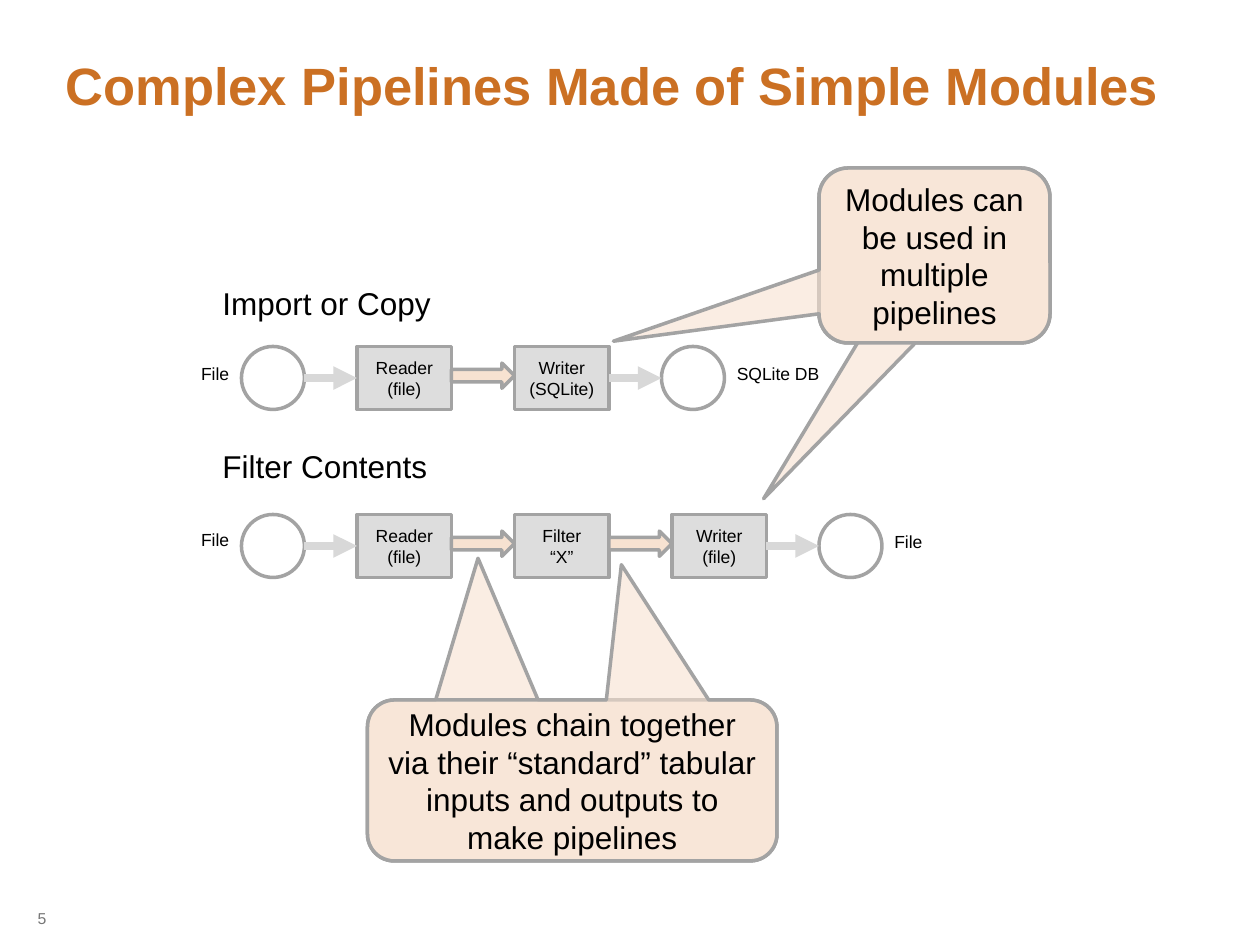
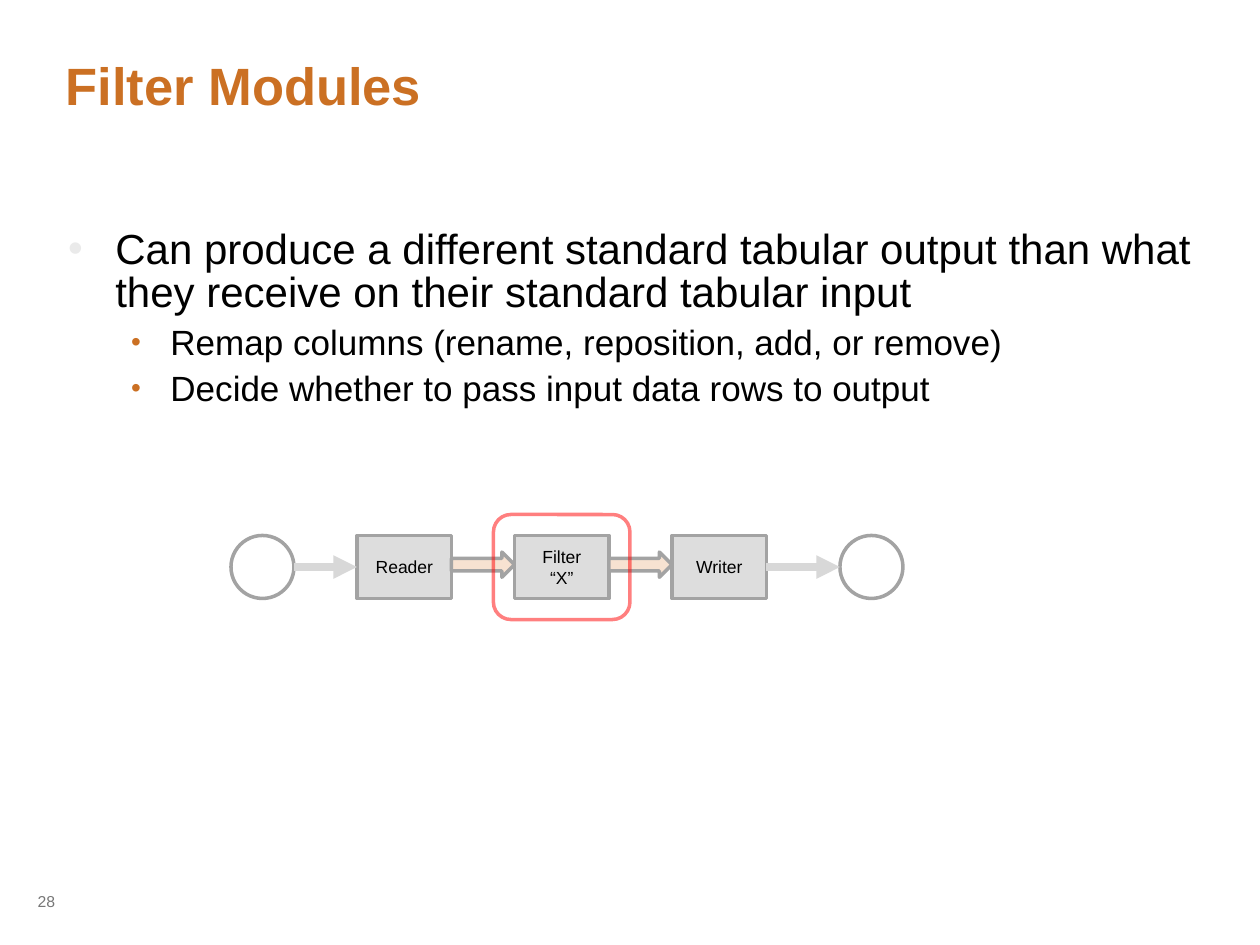
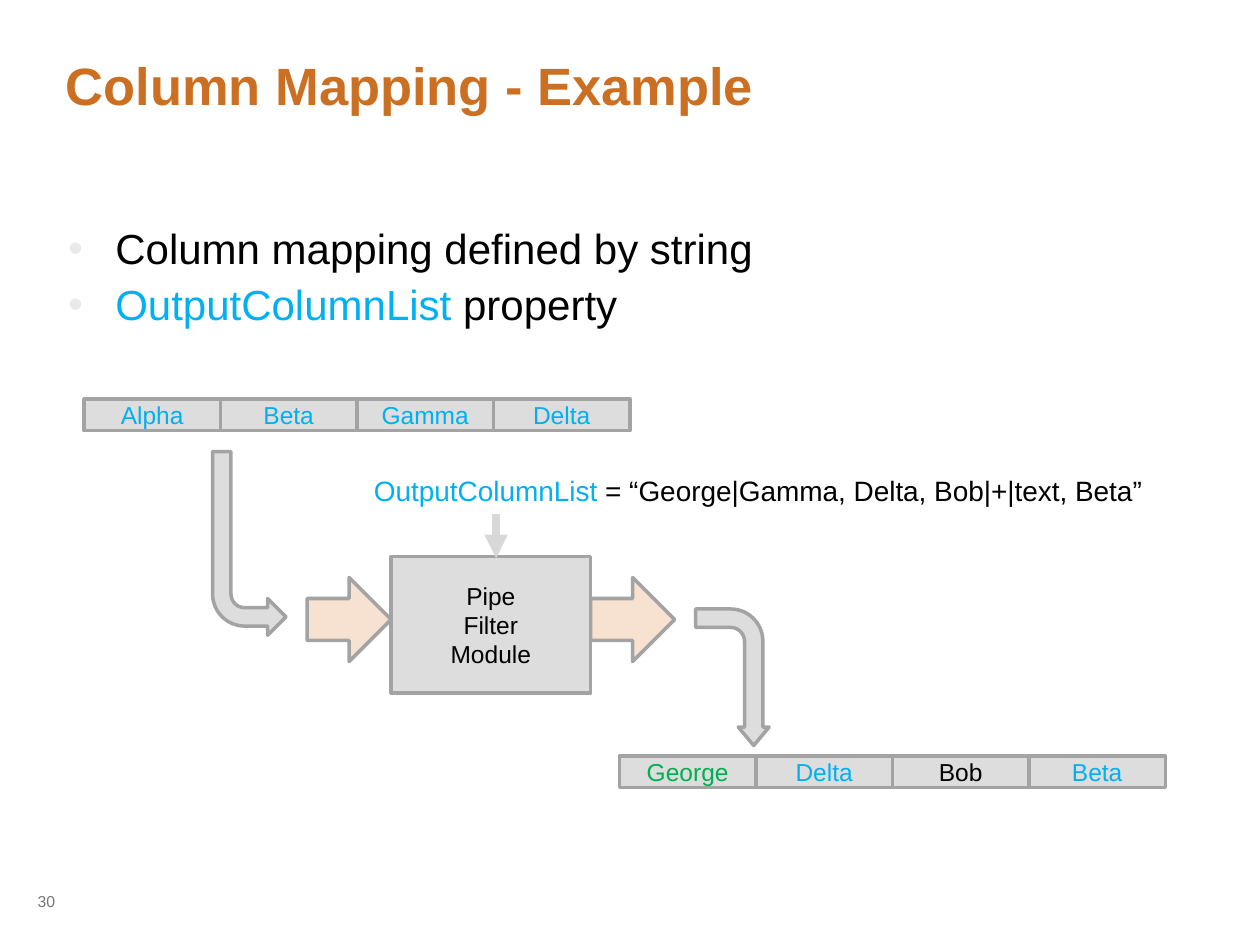
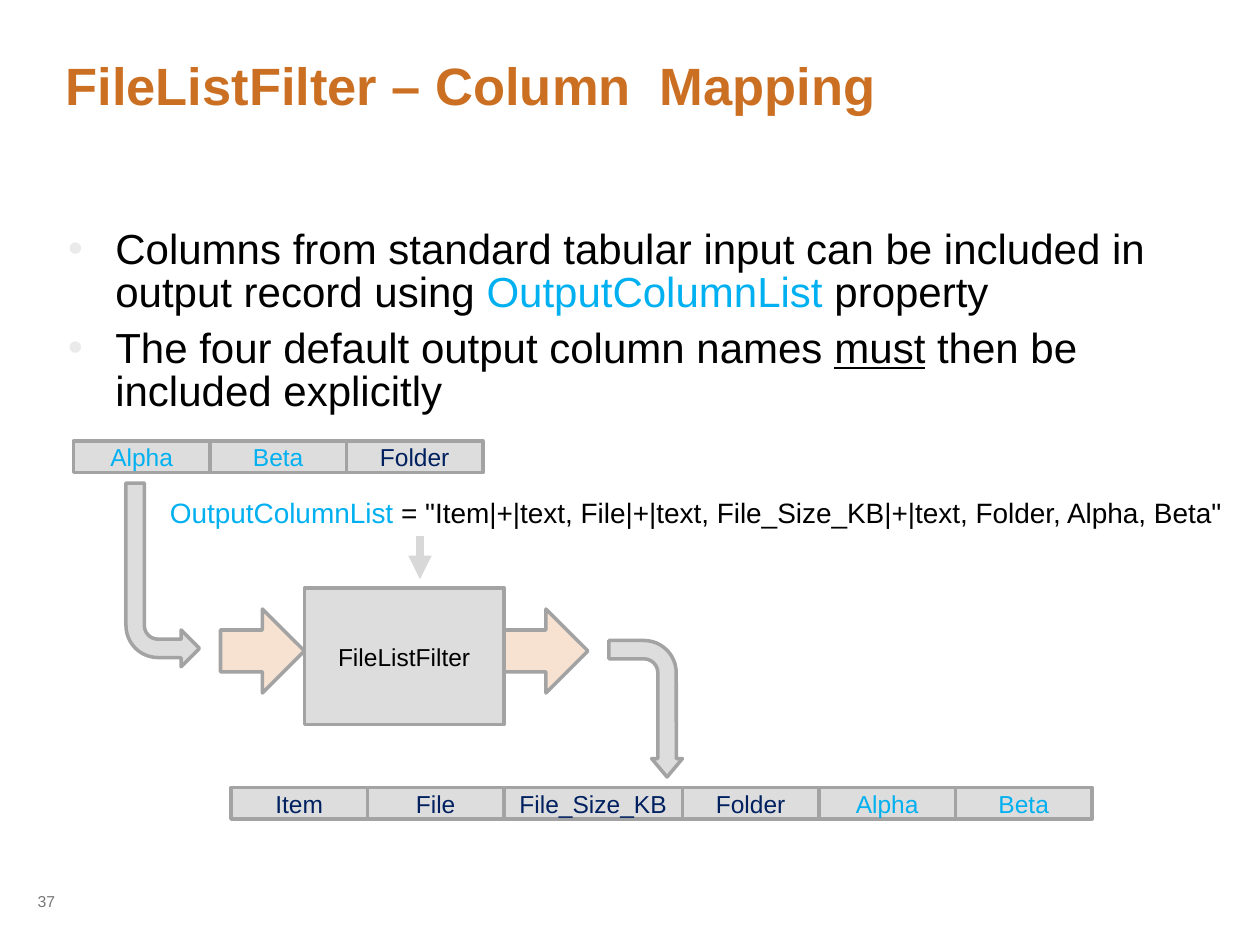
import lxml.etree
import pptx
import pptx.dml.color
import pptx.enum.shapes
import pptx.enum.text
import pptx.oxml.ns
import pptx.util

Pt = pptx.util.Pt
KIND = pptx.enum.shapes.MSO_SHAPE
ALIGN = pptx.enum.text.PP_ALIGN
ANCHOR = pptx.enum.text.MSO_ANCHOR
FONT = "Arial"
HUES = {
    "title": "CB7023", "text": "000000", "page": "777777", "white": "FFFFFF",
    "edge": "A3A3A3", "box": "DDDDDD", "peach": "F7E2D1", "link": "D8D8D8",
    "dot": "EAEAEA", "red": "FF0000", "blue": "00B0F0", "green": "00B050",
    "navy": "002060",
}
LEVELS = [
    {"size": 24, "left": 27, "hang": 27, "dot": "dot", "scale": 100},
    {"size": 20, "left": 58.5, "hang": 22.5, "dot": "title", "scale": 80},
]
WIDE = (38.9, 131.8, 644.4, 281.5)
SHORT = (38.9, 131.8, 525.6, 77.8)

SLIDES = [
    {
        "title": "Complex Pipelines Made of Simple Modules",
        "page": ("5", 516),
        "flows": [
            {"top": 198, "start": 138, "end": 378,
             "steps": [["Reader", "(file)"], ["Writer", "(SQLite)"]]},
            {"top": 294, "start": 138, "end": 468,
             "steps": [["Reader", "(file)"], ["Filter", "“X”"], ["Writer", "(file)"]]},
        ],
        "labels": [
            ("Import or Copy", (120, 159, 198, 28.8), 18, ALIGN.LEFT),
            ("Filter Contents", (120, 252, 198, 28.8), 18, ALIGN.LEFT),
            ("File", (96, 204, 42, 19.4), 10, ALIGN.RIGHT),
            ("SQLite DB", (414, 204, 66, 19.4), 10, ALIGN.LEFT),
            ("File", (96, 299, 42, 19.4), 10, ALIGN.RIGHT),
            ("File", (504, 300, 66, 19.4), 10, ALIGN.LEFT),
        ],
        "calls": [
            ("Modules chain together via their “standard” tabular inputs and outputs to make pipelines",
             (210, 400, 234, 92), [(-0.23, -1.38), (0.12, -1.34)]),
            ("Modules can be used in multiple pipelines",
             (468, 96, 132, 100), [(-0.74, 1.39), (-1.39, 0.49)]),
        ],
    },
    {
        "title": "Filter Modules",
        "page": ("28", 506),
        "area": WIDE,
        "list": [
            (0, ["Can produce a different standard tabular output than what they receive on their standard tabular input"]),
            (1, ["Remap columns (rename, reposition, add, or remove)"]),
            (1, ["Decide whether to pass input data rows to output"]),
        ],
        "flows": [{"top": 306, "start": 132, "end": 480,
                   "steps": [["Reader"], ["Filter", "“X”"], ["Writer"]]}],
        "frame": (282, 294, 78, 60),
    },
    {
        "title": "Column Mapping - Example",
        "page": ("30", 506),
        "area": SHORT,
        "list": [
            (0, ["Column mapping defined by string"]),
            (0, [("OutputColumnList ", "blue"), "property"]),
        ],
        "map": {
            "spot": (223.5, 318), "name": ["Pipe", "Filter", "Module"],
            "rule": [("OutputColumnList", "blue"), " = “George|Gamma, Delta, Bob|+|text, Beta”"],
            "rule_at": (206.6, 267, 459.4, 26.6),
            "feed": (283.5, 294, 319),
            "rows": [
                (48, 228, [("Alpha", "blue"), ("Beta", "blue"), ("Gamma", "blue"), ("Delta", "blue")]),
                (354, 432, [("George", "green"), ("Delta", "blue"), ("Bob", "text"), ("Beta", "blue")]),
            ],
        },
    },
    {
        "title": "FileListFilter – Column  Mapping",
        "page": ("37", 506),
        "area": WIDE,
        "list": [
            (0, ["Columns from standard tabular input can be included in output record using ",
                 ("OutputColumnList", "blue"), " property"]),
            (0, ["The four default output column names ", ("must", "text", True),
                 " then be included explicitly"]),
        ],
        "map": {
            "spot": (174, 336), "name": ["FileListFilter"],
            "rule": [("OutputColumnList ", "blue"),
                     "= \"Item|+|text, File|+|text, File_Size_KB|+|text, Folder, Alpha, Beta\""],
            "rule_at": (90, 279.4, 622.8, 26.6),
            "feed": (240, 306, 331),
            "rows": [
                (42, 252, [("Alpha", "blue"), ("Beta", "blue"), ("Folder", "navy")]),
                (132, 450, [("Item", "navy"), ("File", "navy"), ("File_Size_KB", "navy"),
                            ("Folder", "navy"), ("Alpha", "blue"), ("Beta", "blue")]),
            ],
        },
    },
]

CELL, LONG, CELL_H = 78, 102, 18
STEP_X, STEP_W, STEP_H, GAP = 204, 54, 36, 36


def rgb(hue):
    return pptx.dml.color.RGBColor.from_string(HUES[hue])


def node(host, tag, **attrs):
    return lxml.etree.SubElement(host, pptx.oxml.ns.qn(tag), attrs)


def fade(host, share):
    for tint in host.iter(pptx.oxml.ns.qn("a:srgbClr")):
        node(tint, "a:alpha", val=str(share * 1000))


def add_runs(para, runs, size, hue="text", bold=False):
    for item in runs:
        words, tint, under = ((item, hue) if isinstance(item, str) else item) + (() if len(item) == 3 and not isinstance(item, str) else (False,))
        run = para.add_run()
        run.text = words
        font = run.font
        font.name, font.size, font.bold = FONT, Pt(size), bold
        font.color.rgb = rgb(tint)
        if under:
            font.underline = True


def write(frame, paras, size, align=ALIGN.LEFT, hue="text", wrap=True):
    frame.word_wrap = wrap
    for i, runs in enumerate(paras):
        para = frame.add_paragraph() if i else frame.paragraphs[0]
        para.alignment = align
        add_runs(para, runs, size, hue)


def add_text(slide, area, runs, size, align=ALIGN.LEFT, hue="text", wrap=True):
    box = slide.shapes.add_textbox(*map(Pt, area))
    write(box.text_frame, [runs], size, align, hue, wrap)


def add_shape(slide, kind, area, fill=None, edge="edge", paras=(), size=10):
    shape = slide.shapes.add_shape(kind, *map(Pt, area))
    shape.shadow.inherit = False
    if fill:
        shape.fill.solid()
        shape.fill.fore_color.rgb = rgb(fill)
    else:
        shape.fill.background()
    shape.line.color.rgb = rgb(edge)
    shape.line.width = Pt(2)
    frame = shape.text_frame
    frame.vertical_anchor = ANCHOR.MIDDLE
    write(frame, paras, size, ALIGN.CENTER)
    return shape


def add_link(slide, x1, y1, x2, y2):
    line = slide.shapes.add_connector(
        pptx.enum.shapes.MSO_CONNECTOR.STRAIGHT, *map(Pt, (x1, y1, x2, y2)))
    line.line.color.rgb = rgb("link")
    line.line.width = Pt(4.5)
    node(line.line._get_or_add_ln(), "a:tailEnd", type="triangle")
    node(line._element.spPr, "a:effectLst")
    return line


def place(holder, area):
    holder.left, holder.top, holder.width, holder.height = map(Pt, area)
    frame = holder.text_frame
    frame.margin_left = frame.margin_top = frame.margin_right = frame.margin_bottom = 0
    frame.vertical_anchor = ANCHOR.TOP
    frame.auto_size = pptx.enum.text.MSO_AUTO_SIZE.NONE
    frame.word_wrap = True
    return frame


def add_title(slide, words):
    para = place(slide.shapes.title, (37.5, 36, 645.8, 77.8)).paragraphs[0]
    para.alignment = ALIGN.LEFT
    para.line_spacing = 0.85
    add_runs(para, [words], 30, "title", True)


def add_list(slide, area, items):
    frame = place(slide.placeholders[1], area)
    for i, (depth, runs) in enumerate(items):
        look = LEVELS[depth]
        para = frame.add_paragraph() if i else frame.paragraphs[0]
        para.level = depth
        para.line_spacing = 0.85
        props = para._p.get_or_add_pPr()
        props.set("marL", str(int(Pt(look["left"]))))
        props.set("indent", str(-int(Pt(look["hang"]))))
        node(node(props, "a:spcBef"), "a:spcPct", val="30000")
        node(node(props, "a:buClr"), "a:srgbClr", val=HUES[look["dot"]])
        node(props, "a:buSzPct", val=str(look["scale"] * 1000))
        node(props, "a:buFont", typeface=FONT)
        node(props, "a:buChar", char="•")
        add_runs(para, runs, look["size"])


def add_flow(slide, top, start, end, steps):
    mid = top + STEP_H / 2
    for x in (start, end):
        add_shape(slide, KIND.OVAL, (x, top, 36, 36), "white")
    boxes = []
    for i, lines in enumerate(steps):
        x = STEP_X + i * (STEP_W + GAP)
        if i:
            add_shape(slide, KIND.RIGHT_ARROW, (x - GAP, top + 9.5, GAP, 14.4), "peach")
        boxes.append(add_shape(slide, KIND.RECTANGLE, (x, top, STEP_W, STEP_H), "box",
                               paras=[[line] for line in lines]))
    add_link(slide, start + 36, mid, STEP_X, mid).end_connect(boxes[0], 1)
    add_link(slide, x + STEP_W, mid, end, mid).begin_connect(boxes[-1], 3)


def add_call(slide, words, area, tips):
    for i, tip in enumerate(tips):
        last = i == len(tips) - 1
        shape = add_shape(slide, KIND.ROUNDED_RECTANGULAR_CALLOUT, area, "peach",
                          paras=[[words]] if last else (), size=18)
        shape.adjustments[0], shape.adjustments[1] = tip
        fade(shape._element.spPr.find(pptx.oxml.ns.qn("a:solidFill")), 60)


def add_map(slide, spot, name, rule, rule_at, feed, rows):
    x, y = spot
    for shift in (-48, 114):
        add_shape(slide, KIND.RIGHT_ARROW, (x + shift, y + 12, 48, 48), "peach")
    add_shape(slide, KIND.RECTANGLE, (x, y, 114, 78), "box",
              paras=[[line] for line in name], size=14)
    for left, top, cells in rows:
        for cell in cells:
            width = LONG if len(cell[0]) > 10 else CELL
            add_shape(slide, KIND.RECTANGLE, (left, top, width, CELL_H), "box",
                      paras=[[cell]], size=14)
            left += width
    out = add_shape(slide, KIND.BENT_ARROW, (x + 156, y + 48, 78, 42), "box")
    out.rotation = 90
    for i, value in enumerate((0.25, 0.21, 0.25, 0.44)):
        out.adjustments[i] = value
    into = add_shape(slide, KIND.BENT_ARROW, (x - 102, y - 60, 42, 105), "box")
    into.rotation = 180
    into._element.spPr.xfrm.set("flipH", "1")
    add_text(slide, rule_at, rule, 16, wrap=False)
    mid, top, base = feed
    add_link(slide, mid, top, mid, base)


def main():
    deck = pptx.Presentation()
    deck.slide_width, deck.slide_height = Pt(720), Pt(540)
    for data in SLIDES:
        slide = deck.slides.add_slide(deck.slide_layouts[1 if "list" in data else 5])
        add_title(slide, data["title"])
        if "list" in data:
            add_list(slide, data["area"], data["list"])
        page, top = data["page"]
        add_text(slide, (14.4, top, 48, 18), [page], 9, hue="page")
        for flow in data.get("flows", []):
            add_flow(slide, **flow)
        for words, area, size, align in data.get("labels", []):
            add_text(slide, area, [words], size, align)
        for call in data.get("calls", []):
            add_call(slide, *call)
        if "frame" in data:
            frame = add_shape(slide, KIND.ROUNDED_RECTANGLE, data["frame"], edge="red")
            fade(frame.line._get_or_add_ln(), 50)
        if "map" in data:
            add_map(slide, **data["map"])
    deck.save("out.pptx")


if __name__ == "__main__":
    main()
